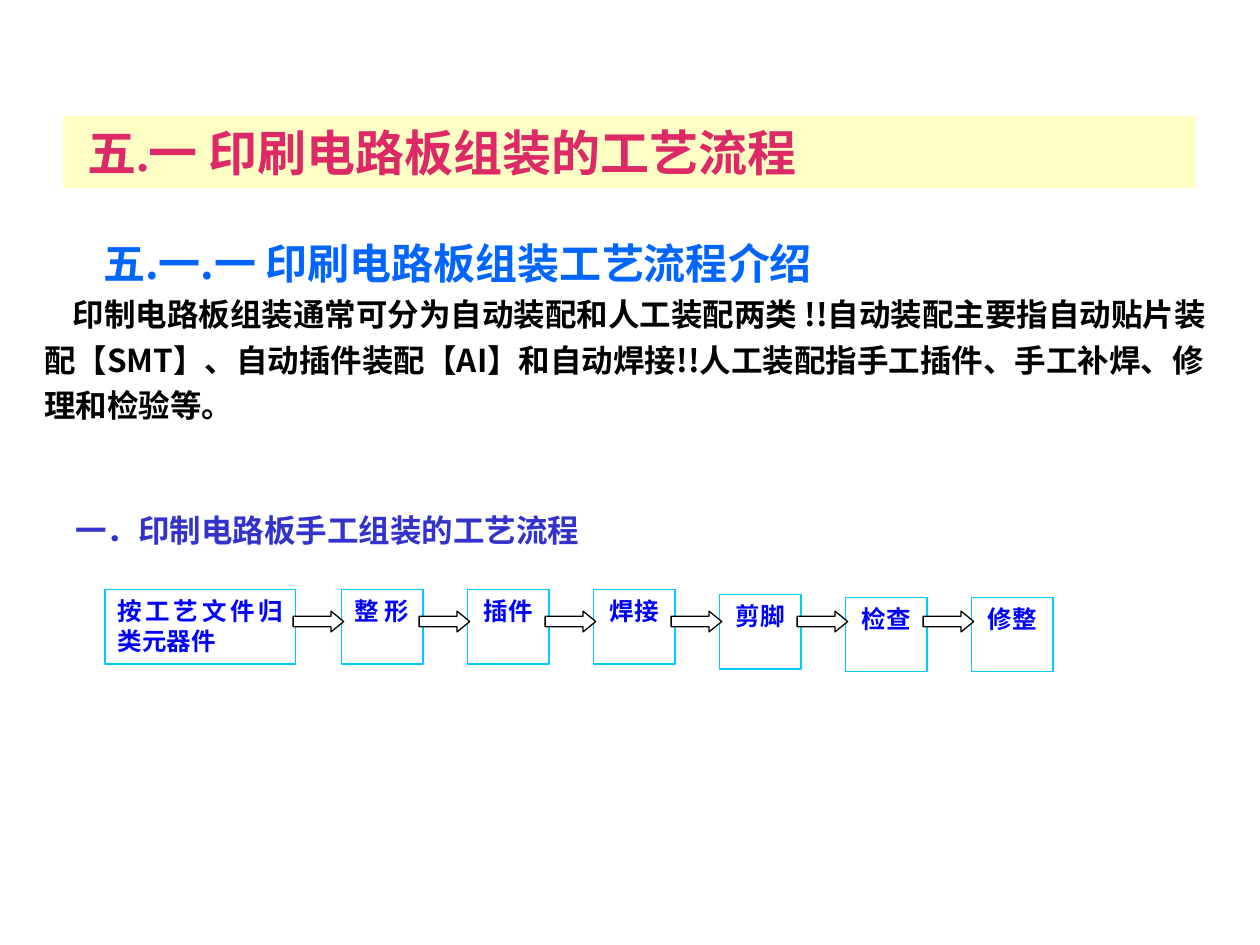
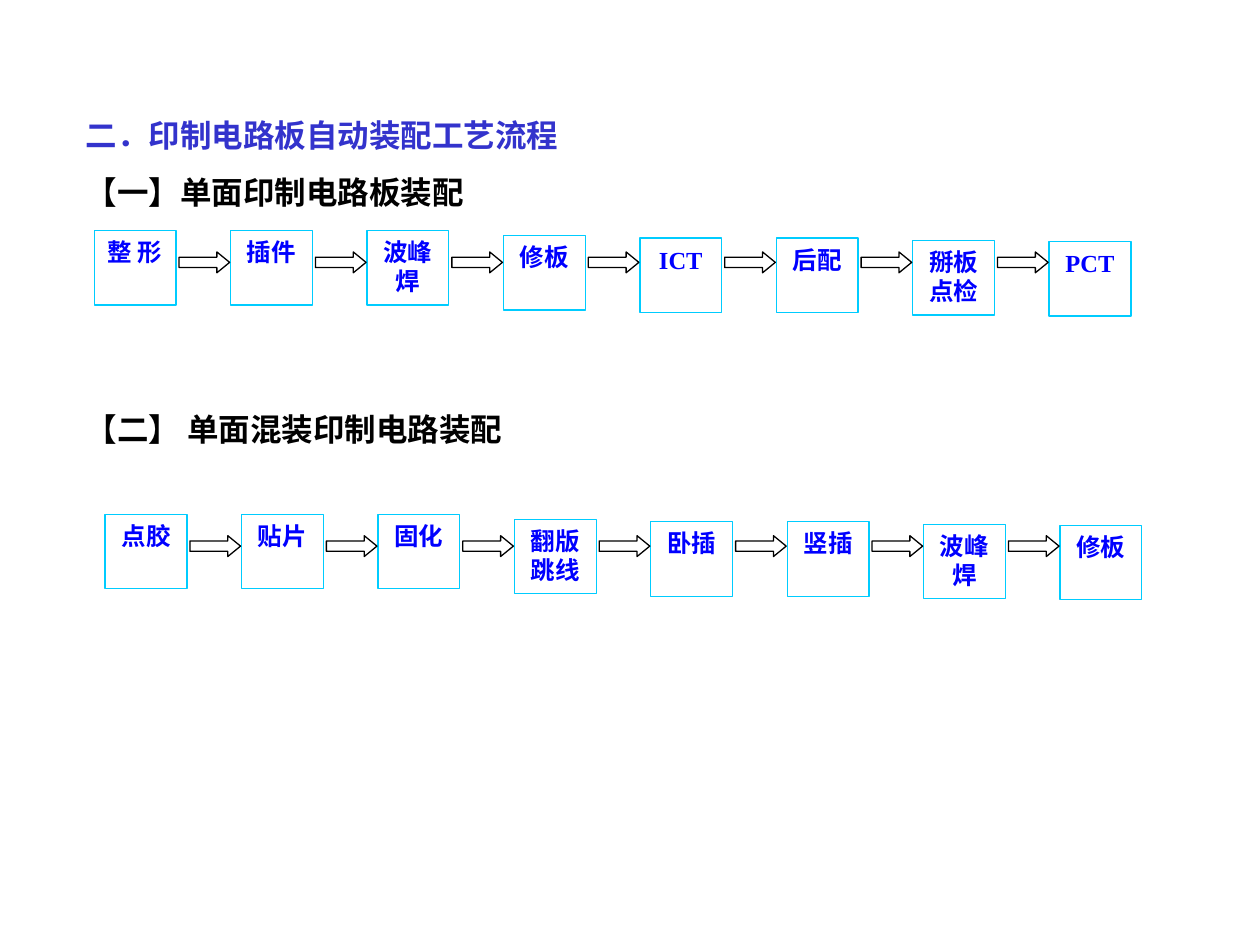
from lxml import etree
from pptx import Presentation
from pptx.dml.color import RGBColor
from pptx.enum.shapes import MSO_SHAPE
from pptx.enum.text import MSO_ANCHOR, PP_ALIGN
from pptx.oxml.ns import qn
from pptx.util import Cm, Pt

RECTANGLE = MSO_SHAPE.RECTANGLE
RIGHT_ARROW = MSO_SHAPE.RIGHT_ARROW
TOP, MIDDLE = MSO_ANCHOR.TOP, MSO_ANCHOR.MIDDLE
LEFT, CENTER, JUSTIFY = PP_ALIGN.LEFT, PP_ALIGN.CENTER, PP_ALIGN.JUSTIFY

COLORS = {
    "band": "FFFFC5",
    "title": "DD2965",
    "subtitle": "0066FF",
    "heading": "3333CC",
    "body": "000000",
    "step": "0000FF",
    "step_line": "00CCFF",
    "arrow_line": "000000",
    "paper": "FFFFFF",
}
SANS = "Noto Sans CJK SC"
SERIF = "Times New Roman"
STEP_WIDTH, STEP_HEIGHT = 1.65, 1.5
ARROW_WIDTH, ARROW_HEIGHT, ARROW_DROP = 1.02, 0.42, 0.43
STEP_DROPS = (0, 0, 0, 0.1, 0.15, 0.15, 0.2, 0.22)


def color(name):
    return RGBColor.from_string(COLORS[name])


class Handout:
    def __init__(self):
        self.deck = Presentation()
        self.deck.slide_width = Cm(25.4)
        self.deck.slide_height = Cm(19.05)
        self.page = None

    def new_page(self):
        self.page = self.deck.slides.add_slide(self.deck.slide_layouts[6])

    def shape(self, kind, left, top, width, height, fill, line=None):
        shape = self.page.shapes.add_shape(
            kind, Cm(left), Cm(top), Cm(width), Cm(height))
        shape.shadow.inherit = False
        shape.fill.solid()
        shape.fill.fore_color.rgb = color(fill)
        if line:
            shape.line.color.rgb = color(line)
            shape.line.width = Pt(0.75)
        else:
            shape.line.fill.background()
        return shape

    def frame(self, box, margin_top=0.13, anchor=TOP):
        frame = box.text_frame
        frame.word_wrap = True
        frame.vertical_anchor = anchor
        frame.margin_left = frame.margin_right = Cm(0.25)
        frame.margin_top = frame.margin_bottom = Cm(margin_top)
        return frame

    def set_text(self, paragraph, text, size, ink, face=SANS, align=LEFT, indent=0):
        paragraph.text = text
        paragraph.alignment = align
        if indent:
            paragraph._p.get_or_add_pPr().set("indent", str(Cm(indent)))
        font = paragraph.font
        font.size = Pt(size)
        font.bold = True
        font.color.rgb = color(ink)
        font.name = face
        east_asian = etree.SubElement(font._rPr, qn("a:ea"))
        east_asian.set("typeface", SANS)

    def title(self, text):
        band = self.shape(RECTANGLE, 1.27, 2.34, 22.83, 1.45, "band")
        frame = self.frame(band, anchor=MIDDLE)
        self.set_text(frame.paragraphs[0], text, 28, "title", SERIF, indent=0.25)

    def text_box(self, left, top, width, height, margin_top=0):
        box = self.page.shapes.add_textbox(
            Cm(left), Cm(top), Cm(width), Cm(height))
        return self.frame(box, margin_top)

    def introduction(self, subtitle, body):
        frame = self.text_box(0.64, 4.45, 23.95, 4.22, 0.13)
        first, second = frame.paragraphs[0], frame.add_paragraph()
        self.set_text(first, subtitle, 24, "subtitle", indent=1.19)
        self.set_text(second, body, 18, "body", indent=0.58)
        for paragraph in (first, second):
            paragraph.line_spacing = 1.2

    def headings(self, left, top, *lines):
        frame = self.text_box(left, top, 22, 0.9 * len(lines))
        for number, (text, ink) in enumerate(lines):
            paragraph = frame.add_paragraph() if number else frame.paragraphs[0]
            if number:
                paragraph.space_before = Pt(11.2)
            self.set_text(paragraph, text, 18, ink)

    def step(self, text, left, top, width=STEP_WIDTH, align=CENTER):
        box = self.shape(RECTANGLE, left, top, width, STEP_HEIGHT,
                         "paper", "step_line")
        frame = self.frame(box)
        self.set_text(frame.paragraphs[0], text, 14, "step", SERIF, align)

    def arrow(self, left, top):
        arrow = self.shape(RIGHT_ARROW, left, top, ARROW_WIDTH, ARROW_HEIGHT,
                           "paper", "arrow_line")
        arrow.adjustments[1] = 0.61

    def flow(self, left, top, pitch, lead, steps, arrow_first=False):
        for number, (text, drop) in enumerate(zip(steps, STEP_DROPS)):
            step_left = left + number * pitch
            self.step(text, step_left, top + drop)
            if number or arrow_first:
                self.arrow(step_left - lead, top + ARROW_DROP)


def manual_assembly(handout):
    handout.new_page()
    handout.title("五.一 印刷电路板组装的工艺流程")
    handout.introduction(
        "五.一.一 印刷电路板组装工艺流程介绍",
        "印制电路板组装通常可分为自动装配和人工装配两类 !!自动装配主要指自动贴片装配"
        "【SMT】、自动插件装配【AI】和自动焊接!!人工装配指手工插件、手工补焊、修理和检验等。")
    handout.headings(1.27, 10.31, ("一．印制电路板手工组装的工艺流程", "heading"))
    handout.step("按工艺文件归类元器件", 2.12, 11.89, 3.84, JUSTIFY)
    handout.flow(6.88, 11.89, 2.54, 0.97,
                 ("整 形", "插件", "焊接", "剪脚", "检查", "修整"), arrow_first=True)


def automatic_assembly(handout):
    handout.new_page()
    handout.headings(1.48, 2.34,
                     ("二．印制电路板自动装配工艺流程", "heading"),
                     ("【一】单面印制电路板装配", "body"))
    handout.flow(1.9, 4.65, 2.75, 1.04,
                 ("整 形", "插件", "波峰焊", "修板", "ICT", "后配", "掰板点检", "PCT"))
    handout.headings(1.48, 8.26, ("【二】 单面混装印制电路装配", "body"))
    handout.flow(2.12, 10.37, 2.75, 1.04,
                 ("点胶", "贴片", "固化", "翻版 跳线", "卧插", "竖插", "波峰焊", "修板"))


def main():
    handout = Handout()
    manual_assembly(handout)
    automatic_assembly(handout)
    handout.deck.save("out.pptx")


if __name__ == "__main__":
    main()
